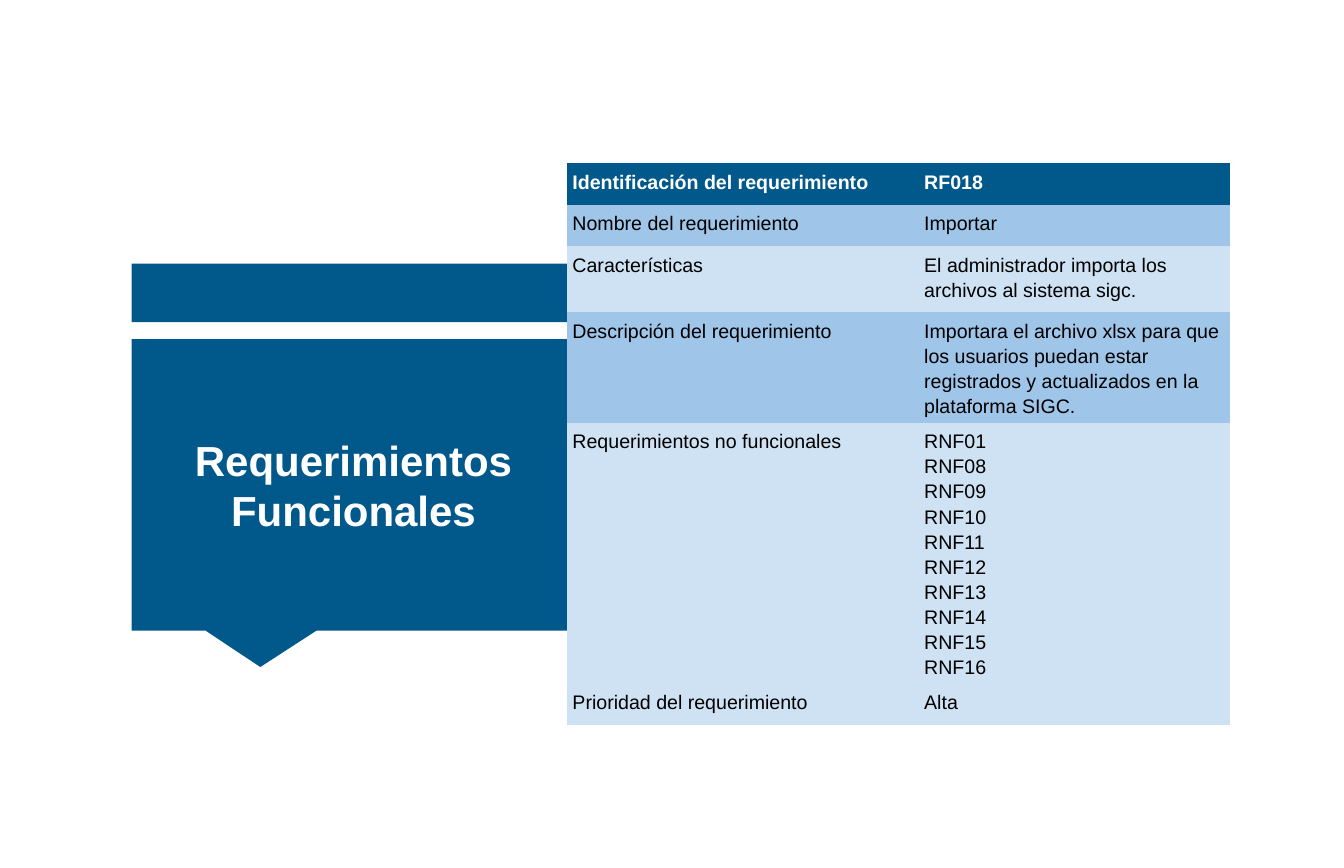
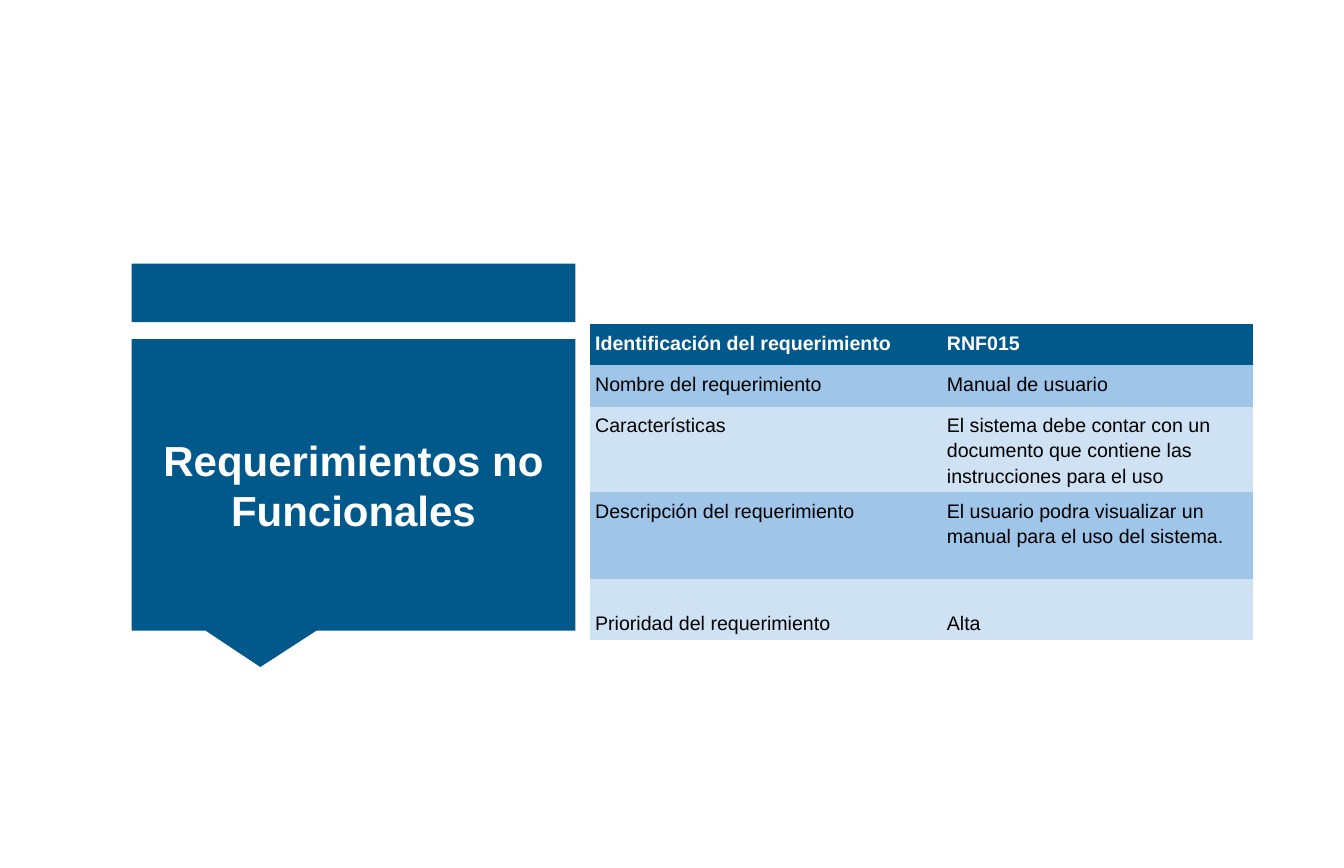
from dataclasses import dataclass

from pptx import Presentation
from pptx.dml.color import RGBColor
from pptx.enum.shapes import MSO_SHAPE
from pptx.enum.text import MSO_ANCHOR, PP_ALIGN
from pptx.oxml.ns import qn
from pptx.shapes.autoshape import Shape
from pptx.slide import Slide
from pptx.text.text import TextFrame
from pptx.util import Inches, Length, Pt

WIDTH, HEIGHT = 26.67, 17.22
FONT = "Arial"
COLORS = {
    "brand": "00588B",
    "band": "9FC5E8",
    "pale": "CFE2F3",
    "white": "FFFFFF",
    "black": "000000",
}
PLAIN_TABLE_STYLE = "{2D5ABB26-0587-4C30-8999-92F81FD0307C}"
COLUMN_SHARES = (26.17, 23.13)
CELL_INSET = 0.1
PANEL_INSET = 0.08


@dataclass(frozen=True)
class Row:
    label: str
    value: str
    height: float = 0.82


@dataclass(frozen=True)
class RequirementPage:
    """Table position is in percent of the slide, row heights in inches."""
    title: str
    left: float
    top: float
    rows: tuple[Row, ...]


PAGES = (
    RequirementPage("Requerimientos Funcionales", 42.22, 18.82, (
        Row("Identificación del requerimiento", "RF018"),
        Row("Nombre del requerimiento", "Importar"),
        Row("Características",
            "El administrador importa los archivos al sistema sigc.", 1.31),
        Row("Descripción del requerimiento",
            "Importara el archivo xlsx para que los usuarios puedan estar "
            "registrados y actualizados en la plataforma SIGC.", 2.18),
        Row("Requerimientos no funcionales",
            "\n".join(f"RNF{number:02}" for number in (1, *range(8, 17))), 5.18),
        Row("Prioridad del requerimiento", "Alta"),
    )),
    RequirementPage("Requerimientos no Funcionales", 43.91, 37.34, (
        Row("Identificación del requerimiento", "RNF015"),
        Row("Nombre del requerimiento", "Manual de usuario"),
        Row("Características",
            "El sistema debe contar con un documento que contiene las "
            "instrucciones para el uso", 1.7),
        Row("Descripción del requerimiento",
            "El usuario podra visualizar un manual para el uso del sistema.", 1.72),
        Row("", "", 0.48),
        Row("Prioridad del requerimiento", "Alta", 0.7),
    )),
)


def across(percent: float) -> Length:
    return Inches(WIDTH * percent / 100)


def down(percent: float) -> Length:
    return Inches(HEIGHT * percent / 100)


def color(name: str) -> RGBColor:
    return RGBColor.from_string(COLORS[name])


def write(frame: TextFrame, text: str, *, size: float, ink: str,
          bold: bool = False, align: PP_ALIGN = PP_ALIGN.LEFT,
          spacing: float = 1.0) -> None:
    """Write one paragraph per line of text; empty text leaves the frame as it is."""
    if not text:
        return
    frame.text = text
    for para in frame.paragraphs:
        para.alignment = align
        para.line_spacing = spacing
        for span in para.runs:
            span.font.name = FONT
            span.font.size = Pt(size)
            span.font.bold = bold
            span.font.color.rgb = color(ink)


def add_title_panel(page: Slide, title: str) -> None:
    group = page.shapes.add_group_shape()

    def add_block(kind: MSO_SHAPE, top: float, height: float) -> Shape:
        block = group.shapes.add_shape(
            kind, across(9.79), down(top), across(33.03), down(height))
        block.shadow.inherit = False
        block.fill.solid()
        block.fill.fore_color.rgb = color("brand")
        block.line.fill.background()
        return block

    add_block(MSO_SHAPE.RECTANGLE, 30.37, 6.74)
    callout = add_block(MSO_SHAPE.RECTANGULAR_CALLOUT, 39.08, 33.57)
    callout.adjustments[0] = -0.21
    callout.adjustments[1] = 0.625
    frame = callout.text_frame
    frame.word_wrap = True
    frame.vertical_anchor = MSO_ANCHOR.MIDDLE
    frame.margin_left = frame.margin_right = Inches(PANEL_INSET)
    frame.margin_top = frame.margin_bottom = Inches(PANEL_INSET)
    write(frame, title, size=60, ink="white", bold=True, align=PP_ALIGN.CENTER)


def row_fill(index: int, count: int) -> str:
    """Header first, then alternating bands; the last row is always pale."""
    if index == 0:
        return "brand"
    return "band" if index % 2 and index < count - 1 else "pale"


def add_requirement_table(page: Slide, content: RequirementPage) -> None:
    rows = content.rows
    table = page.shapes.add_table(
        len(rows), len(COLUMN_SHARES), across(content.left), down(content.top),
        across(sum(COLUMN_SHARES)), Inches(sum(row.height for row in rows)),
    ).table
    table._tbl.tblPr.find(qn("a:tableStyleId")).text = PLAIN_TABLE_STYLE
    for column, share in zip(table.columns, COLUMN_SHARES):
        column.width = across(share)
    for index, row in enumerate(rows):
        table.rows[index].height = Inches(row.height)
        header = index == 0
        for cell, text in zip(table.rows[index].cells, (row.label, row.value)):
            cell.fill.solid()
            cell.fill.fore_color.rgb = color(row_fill(index, len(rows)))
            cell.margin_left = cell.margin_right = Inches(CELL_INSET)
            cell.margin_top = cell.margin_bottom = Inches(CELL_INSET)
            write(cell.text_frame, text, size=28, bold=header, spacing=1.15,
                  ink="white" if header else "black")


def main() -> None:
    deck = Presentation()
    deck.slide_width = Inches(WIDTH)
    deck.slide_height = Inches(HEIGHT)
    blank = deck.slide_layouts[6]
    for content in PAGES:
        page = deck.slides.add_slide(blank)
        add_title_panel(page, content.title)
        add_requirement_table(page, content)
    deck.save("out.pptx")


if __name__ == "__main__":
    main()
